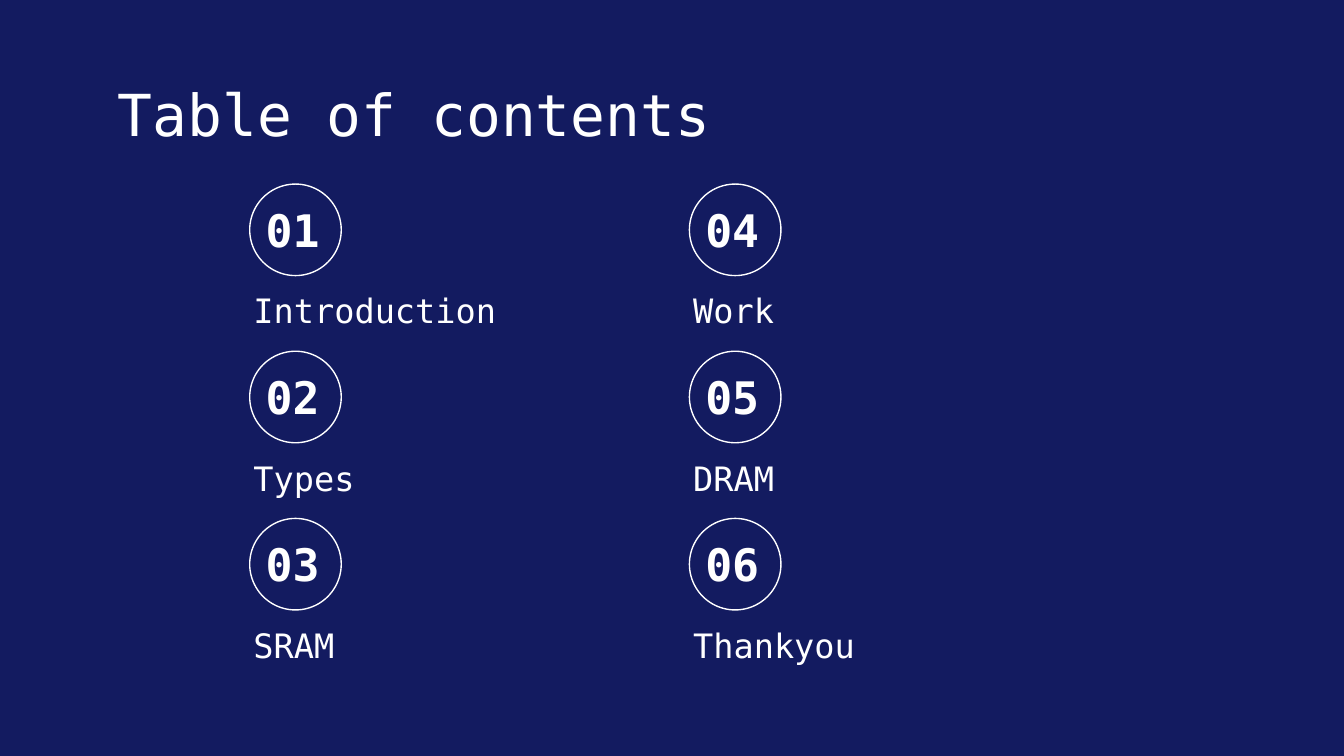
from pptx import Presentation
from pptx.dml.color import RGBColor
from pptx.enum.shapes import MSO_SHAPE
from pptx.enum.text import MSO_ANCHOR, MSO_AUTO_SIZE, PP_ALIGN
from pptx.util import Cm, Pt


def color(hex_string):
    return RGBColor.from_string(hex_string)


class ContentsSlide:
    FONT = "DejaVu Sans Mono"
    BACKGROUND = "131B60"
    FOREGROUND = "FFFFFF"
    INSET = 0.25

    def __init__(self, presentation):
        self.slide = presentation.slides.add_slide(presentation.slide_layouts[5])
        fill = self.slide.background.fill
        fill.solid()
        fill.fore_color.rgb = color(self.BACKGROUND)

    def set_text(self, frame, wording, size, bold=False, anchor=MSO_ANCHOR.BOTTOM, bottom=0):
        frame.text = wording
        frame.word_wrap = True
        frame.auto_size = MSO_AUTO_SIZE.NONE
        frame.vertical_anchor = anchor
        frame.margin_left = frame.margin_right = frame.margin_top = Cm(self.INSET)
        frame.margin_bottom = Cm(bottom)
        for paragraph in frame.paragraphs:
            paragraph.alignment = PP_ALIGN.LEFT
            for run in paragraph.runs:
                run.font.name = self.FONT
                run.font.size = Pt(size)
                run.font.bold = bold
                run.font.color.rgb = color(self.FOREGROUND)

    def title(self, wording, left, top, width, height):
        heading = self.slide.shapes.title
        heading.left, heading.top = Cm(left), Cm(top)
        heading.width, heading.height = Cm(width), Cm(height)
        self.set_text(heading.text_frame, wording, 31, anchor=MSO_ANCHOR.TOP, bottom=self.INSET)

    def circle(self, left, top, diameter):
        ring = self.slide.shapes.add_shape(
            MSO_SHAPE.OVAL, Cm(left), Cm(top), Cm(diameter), Cm(diameter))
        ring.shadow.inherit = False
        ring.fill.background()
        ring.line.color.rgb = color(self.FOREGROUND)
        ring.line.width = Pt(0.75)

    def text(self, wording, left, top, width, height, size, bold=False):
        box = self.slide.shapes.add_textbox(Cm(left), Cm(top), Cm(width), Cm(height))
        self.set_text(box.text_frame, wording, size, bold)


def main():
    presentation = Presentation()
    presentation.slide_width, presentation.slide_height = Cm(25.4), Cm(14.29)
    contents = ContentsSlide(presentation)
    contents.title("Table of contents", 1.98, 1.24, 21.44, 1.6)

    sections = ["Introduction", "Types", "SRAM", "Work", "DRAM", "Thankyou"]
    rows = 3
    for index, section in enumerate(sections):
        column, row = divmod(index, rows)
        left = 4.72 + column * 8.31
        top = 3.48 + row * 3.16
        contents.circle(left, top, 1.73)
        contents.text(f"{index + 1:02}", left + 0.05, top + 0.25, 1.73, 1.12, 24, bold=True)
        contents.text(section, left - 0.18, top + 1.93, 8, 0.84, 18)

    presentation.save("out.pptx")


if __name__ == "__main__":
    main()
